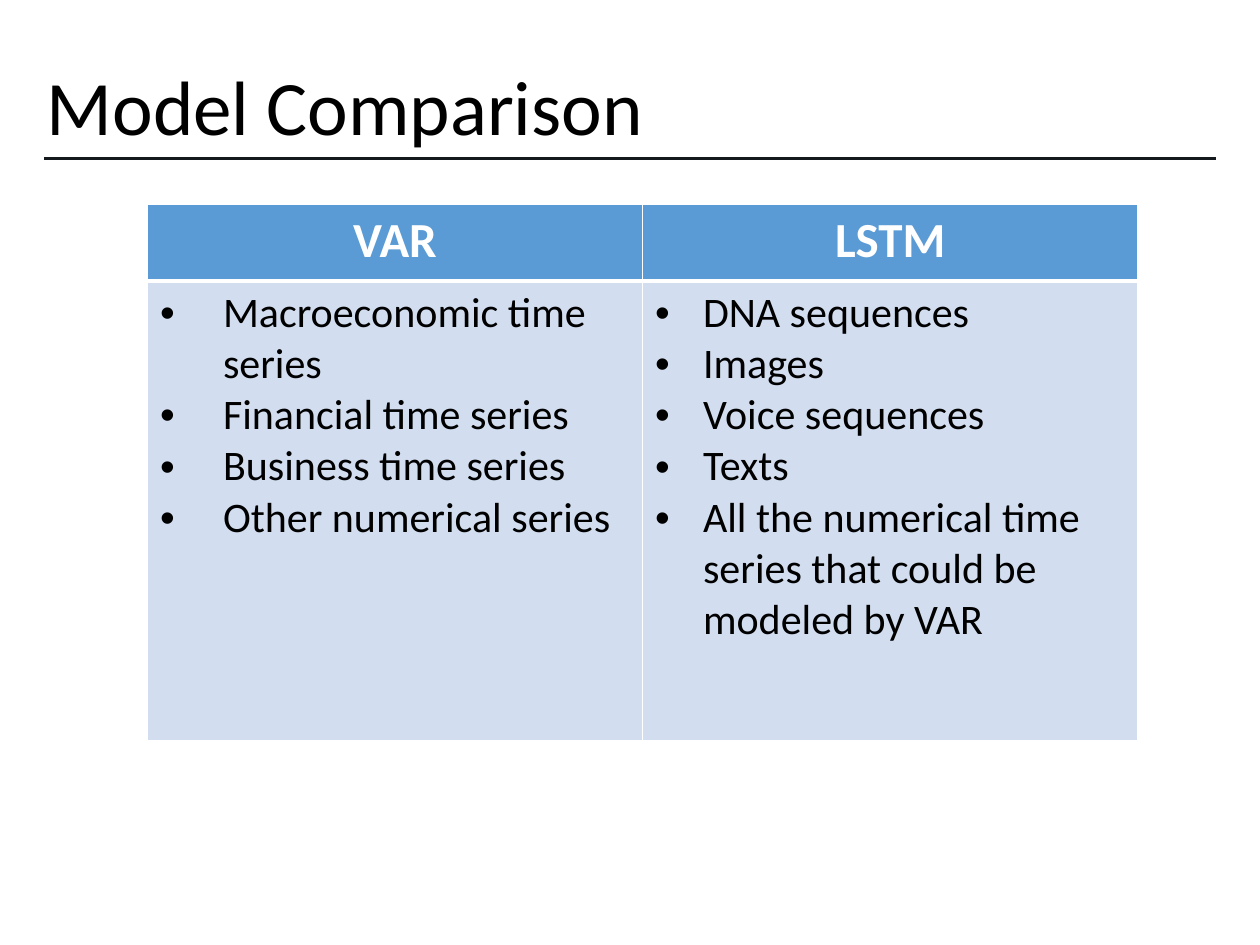
from lxml import etree
from pptx import Presentation
from pptx.dml.color import RGBColor
from pptx.enum.shapes import MSO_CONNECTOR
from pptx.enum.text import MSO_ANCHOR, MSO_AUTO_SIZE, PP_ALIGN
from pptx.oxml.ns import qn
from pptx.util import Inches, Pt

STRAIGHT = MSO_CONNECTOR.STRAIGHT
MIDDLE = MSO_ANCHOR.MIDDLE
NO_AUTOFIT = MSO_AUTO_SIZE.NONE
LEFT, CENTER = PP_ALIGN.LEFT, PP_ALIGN.CENTER
TITLE_ONLY = 5

BLACK, WHITE = "000000", "FFFFFF"
RULE, HEADER_FILL, BODY_FILL = "13191C", "5B9BD5", "D2DEEF"

TITLE_FONT = {"name": "Calibri", "size": Pt(44), "bold": False}
HEADER_FONT = {"name": "Calibri", "size": Pt(28), "bold": True}
BODY_FONT = {"name": "Calibri", "size": Pt(24), "bold": False}

HEADER_BORDERS = {"L": 1, "R": 1, "T": 1, "B": 3}
BODY_BORDERS = {"L": 1, "R": 1, "T": 3, "B": 1}

# Heading, bullet indent in inches, bullet items
MODELS = [
    ("VAR", 0.5, [
        "Macroeconomic time series",
        "Financial time series",
        "Business time series",
        "Other numerical series",
    ]),
    ("LSTM", 0.38, [
        "DNA sequences",
        "Images",
        "Voice sequences",
        "Texts",
        "All the numerical time series that could be modeled by VAR",
    ]),
]


def color(hex_string):
    return RGBColor.from_string(hex_string)


def add_text(paragraph, text, font_format, hex_color, alignment=LEFT):
    paragraph.alignment = alignment
    run = paragraph.add_run()
    run.text = text
    for name, value in font_format.items():
        setattr(run.font, name, value)
    run.font.color.rgb = color(hex_color)


def add_bullet(paragraph, indent):
    properties = paragraph._p.get_or_add_pPr()
    properties.set("marL", str(Inches(indent)))
    properties.set("indent", str(-Inches(indent)))
    etree.SubElement(properties, qn("a:buFont")).set("typeface", "Arial")
    etree.SubElement(properties, qn("a:buChar")).set("char", "•")


def style_cell(cell, fill, borders):
    properties = cell._tc.get_or_add_tcPr()
    for side, width in borders.items():
        line = etree.SubElement(properties, qn(f"a:ln{side}"), w=str(Pt(width)))
        line_fill = etree.SubElement(line, qn("a:solidFill"))
        etree.SubElement(line_fill, qn("a:srgbClr"), val=WHITE)
    cell.fill.solid()
    cell.fill.fore_color.rgb = color(fill)


def place_title(slide, text, left, top, width, height):
    title = slide.shapes.title
    title.left, title.top = Inches(left), Inches(top)
    title.width, title.height = Inches(width), Inches(height)
    frame = title.text_frame
    frame.word_wrap = True
    frame.auto_size = NO_AUTOFIT
    frame.vertical_anchor = MIDDLE
    frame.paragraphs[0].line_spacing = 0.9
    add_text(frame.paragraphs[0], text, TITLE_FONT, BLACK)


def add_title_rule(slide, left, top, width):
    rule = slide.shapes.add_connector(
        STRAIGHT, Inches(left), Inches(top), Inches(left + width), Inches(top))
    rule.line.color.rgb = color(RULE)
    rule.line.width = Pt(1.5)
    etree.SubElement(rule._element.spPr, qn("a:effectLst"))


def add_model_table(slide, models, left, top, width, row_heights):
    table = slide.shapes.add_table(
        len(row_heights), len(models), Inches(left), Inches(top),
        Inches(width), Inches(sum(row_heights))).table
    for row, height in zip(table.rows, row_heights):
        row.height = Inches(height)

    for column, (heading, indent, items) in enumerate(models):
        table.columns[column].width = Inches(width / len(models))

        # Heading cell
        header = table.cell(0, column)
        style_cell(header, HEADER_FILL, HEADER_BORDERS)
        add_text(header.text_frame.paragraphs[0], heading, HEADER_FONT, WHITE, CENTER)

        # Bulleted cell
        body = table.cell(1, column)
        style_cell(body, BODY_FILL, BODY_BORDERS)
        frame = body.text_frame
        for index, item in enumerate(items):
            paragraph = frame.add_paragraph() if index else frame.paragraphs[0]
            add_bullet(paragraph, indent)
            add_text(paragraph, item, BODY_FONT, BLACK)


def main():
    presentation = Presentation()
    presentation.slide_width = Inches(10)
    presentation.slide_height = Inches(7.5)
    slide = presentation.slides.add_slide(presentation.slide_layouts[TITLE_ONLY])

    add_title_rule(slide, 0.35, 1.26, 9.3)
    place_title(slide, "Model Comparison", 0.27, 0.15, 8.62, 1.45)
    add_model_table(slide, MODELS, 1.17, 1.62, 7.86, [0.61, 3.65])

    presentation.save("out.pptx")


if __name__ == "__main__":
    main()
